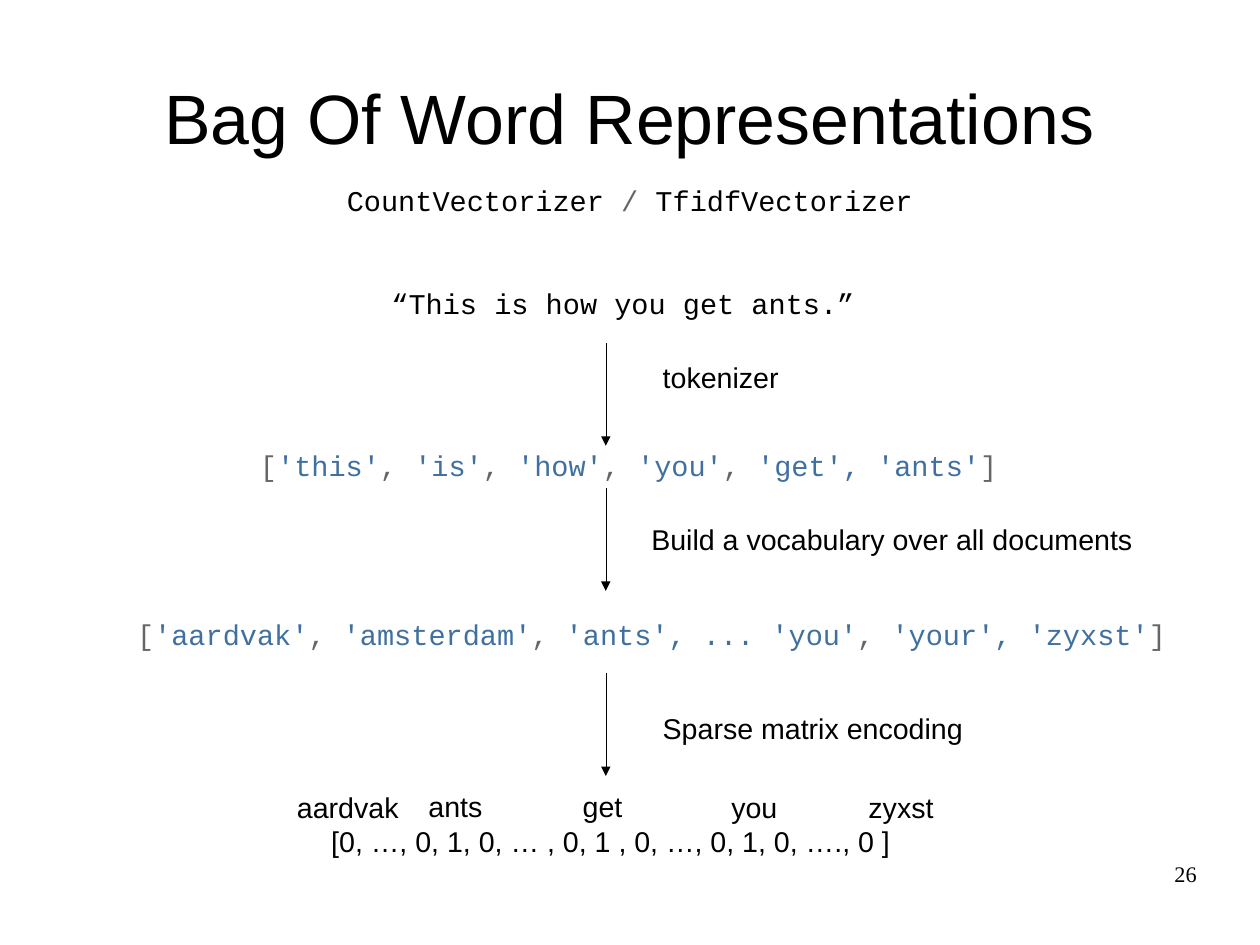
from itertools import cycle

from lxml.etree import SubElement
from pptx import Presentation
from pptx.dml.color import RGBColor
from pptx.enum.shapes import MSO_CONNECTOR
from pptx.enum.text import MSO_ANCHOR, PP_ALIGN
from pptx.oxml.ns import qn
from pptx.util import Inches, Pt

THEME = {
    "sans": "Arial", "mono": "Courier New", "serif": "Times New Roman",
    "ink": RGBColor(0x00, 0x00, 0x00),
    "punctuation": RGBColor(0x66, 0x66, 0x66),
    "string": RGBColor(0x40, 0x70, 0xA0),
    "title": 44, "body": 18, "page": 14,
}

# The page measures 28 by 21 cm.
CM_PER_INCH = 2.54
PAGE_WIDTH, PAGE_HEIGHT = 28 / CM_PER_INCH, 21 / CM_PER_INCH

# Each box is left, top, width, height in inches.
TITLE = ("Bag Of Word Representations", (0.55, 0.33, 9.92, 1.38))
PAGE_NUMBER = ("26", (7.9, 7.53, 2.57, 0.57))

# Code lines: the parts take the listed colours in turn.
CODE_LINES = [
    (["CountVectorizer ", "/", " TfidfVectorizer"],
     ("ink", "punctuation"), (2.91, 1.6, 5.2, 0.29)),
    (["“This is how you get ants.”"], ("ink",), (3.1, 2.5, 4.7, 0.29)),
    (["[", "'this'", ", ", "'is'", ", ", "'how'", ", ", "'you'", ", ",
      "'get', 'ants'", "]"],
     ("punctuation", "string"), (2.1, 3.92, 6.8, 0.29)),
    (["[", "'aardvak'", ", ", "'amsterdam'", ", ", "'ants', ... 'you'", ", ",
      "'your', 'zyxst'", "]"],
     ("punctuation", "string"), (1.1, 5.4, 9.2, 0.57)),
]

STEPS = [
    ("tokenizer", (5.7, 3.1, 1.7, 0.38)),
    ("Build a vocabulary over all documents", (5.6, 4.52, 4.7, 0.66)),
    ("Sparse matrix encoding", (5.7, 6.17, 3.1, 0.38)),
]
ENCODING = [
    ("[0, …, 0, 1, 0, … , 0, 1 , 0, …, 0, 1, 0, …., 0 ]", (2.8, 7.16, 5.1, 0.38)),
    ("ants", (3.65, 6.85, 1, 0.4)),
    ("get", (5, 6.85, 0.8, 0.57)),
    ("you", (6.3, 6.86, 1.4, 0.38)),
    ("aardvak", (2.5, 6.86, 1.1, 0.38)),
    ("zyxst", (7.5, 6.86, 0.9, 0.38)),
]

ARROW_X, ARROW_LENGTH = 5.3, 0.9
ARROW_TOPS = [3, 4.27, 5.89]


def add_text(slide, parts, box, font="sans", size="body", colours=("ink",),
             align=PP_ALIGN.LEFT, anchor=MSO_ANCHOR.TOP, inset=(0, 0)):
    """Add one line of text whose parts take the colours in turn."""
    frame = slide.shapes.add_textbox(*map(Inches, box)).text_frame
    frame.word_wrap = True
    frame.vertical_anchor = anchor
    frame.margin_left = frame.margin_right = Inches(inset[0])
    frame.margin_top = frame.margin_bottom = Inches(inset[1])
    paragraph = frame.paragraphs[0]
    paragraph.alignment = align
    for part, colour in zip(parts, cycle(colours)):
        run = paragraph.add_run()
        run.text = part
        run.font.name = THEME[font]
        run.font.size = Pt(THEME[size])
        run.font.color.rgb = THEME[colour]


def add_down_arrow(slide, top):
    """Add a hairline arrow; the zero width has to be written out."""
    arrow = slide.shapes.add_connector(
        MSO_CONNECTOR.STRAIGHT, Inches(ARROW_X), Inches(top),
        Inches(ARROW_X), Inches(top + ARROW_LENGTH))
    arrow.line.color.rgb = THEME["ink"]
    properties = arrow._element.spPr
    outline = properties.find(qn("a:ln"))
    outline.set("w", "0")
    SubElement(outline, qn("a:tailEnd"), type="triangle")
    SubElement(properties, qn("a:effectLst"))


def main():
    deck = Presentation()
    deck.slide_width, deck.slide_height = Inches(PAGE_WIDTH), Inches(PAGE_HEIGHT)
    slide = deck.slides.add_slide(deck.slide_layouts[6])

    title, title_box = TITLE
    add_text(slide, [title], title_box, size="title",
             align=PP_ALIGN.CENTER, anchor=MSO_ANCHOR.MIDDLE)
    for parts, colours, box in CODE_LINES:
        add_text(slide, parts, box, font="mono", colours=colours,
                 align=PP_ALIGN.CENTER)
    for top in ARROW_TOPS:
        add_down_arrow(slide, top)
    for label, box in STEPS + ENCODING:
        add_text(slide, [label], box, inset=(0.1, 0.05))
    number, number_box = PAGE_NUMBER
    add_text(slide, [number], number_box, font="serif", size="page",
             align=PP_ALIGN.RIGHT)

    deck.save("out.pptx")


if __name__ == "__main__":
    main()
